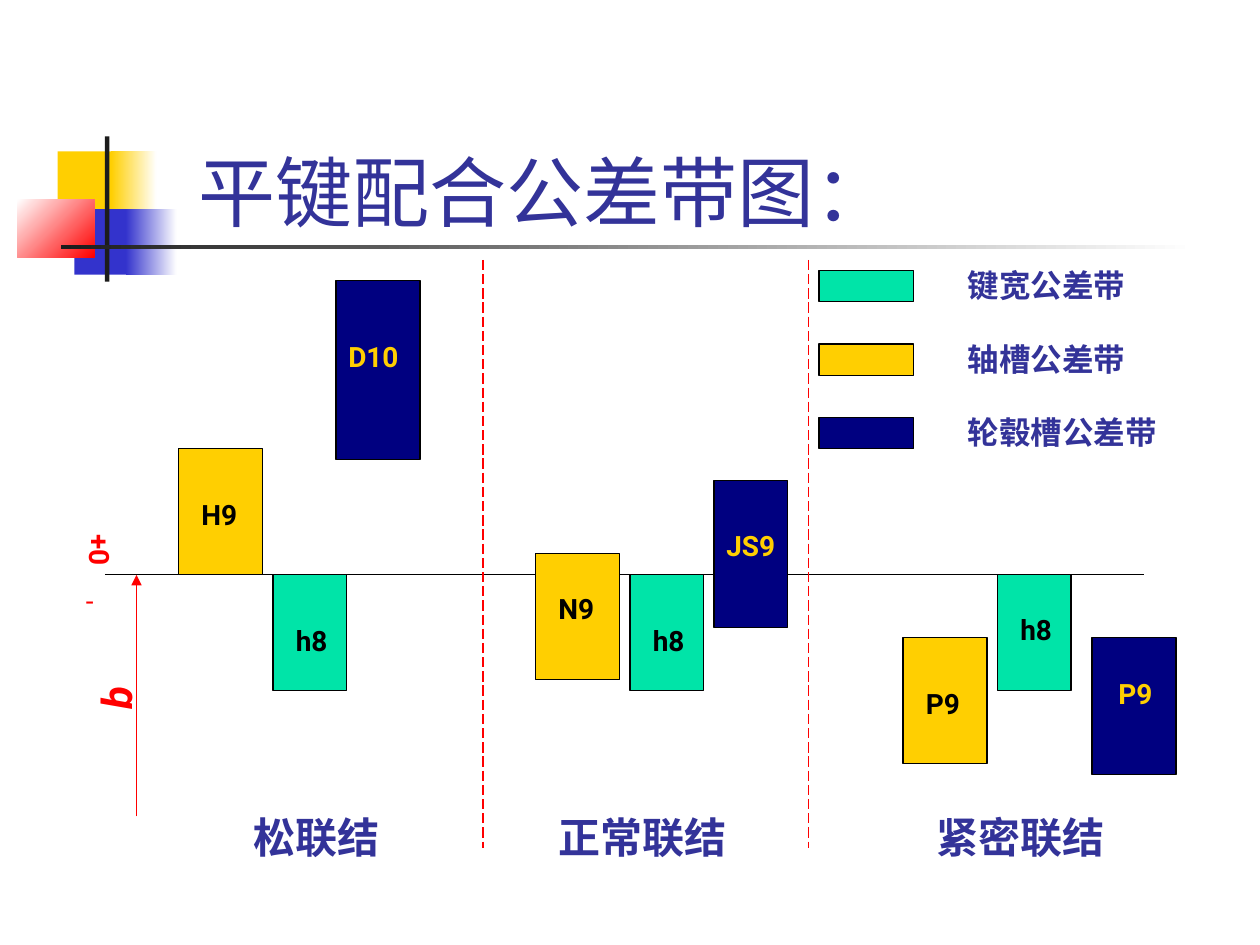
from lxml import etree
from pptx import Presentation
from pptx.dml import color
from pptx.enum import dml, shapes, text
from pptx.oxml import ns
from pptx.util import Pt

BLUE, RED, BLACK, WHITE = "333399", "FF0000", "000000", "FFFFFF"
GOLD, GREEN, NAVY, INDIGO, DARK = "FFCF01", "00E4A8", "000080", "3333CC", "1C1C1C"
ZERO = 328.5


def rgb(value):
    return color.RGBColor.from_string(value)


class Sketch:
    font = "Roboto"
    line_width = 0.75

    def __init__(self, page):
        self.page = page

    def add_words(self, frame, words, size, tint, bold=False, italic=False):
        para = frame.paragraphs[0]
        para.alignment = text.PP_ALIGN.LEFT
        span = para.add_run()
        span.text = words
        span.font.size = Pt(size)
        span.font.bold = bold
        span.font.italic = italic
        span.font.color.rgb = rgb(tint)
        span.font.name = self.font
        etree.SubElement(span.font._element, ns.qn("a:ea"), typeface=self.font)

    def title(self, words, left, top, width, height):
        box = self.page.shapes.title
        box.left, box.top, box.width, box.height = map(Pt, (left, top, width, height))
        frame = box.text_frame
        frame.auto_size = text.MSO_AUTO_SIZE.NONE
        frame.vertical_anchor = text.MSO_ANCHOR.BOTTOM
        self.add_words(frame, words, 44, BLUE)

    def label(self, words, left, top, width, height, size, tint, bold=True, italic=False):
        box = self.page.shapes.add_textbox(*map(Pt, (left, top, width, height)))
        frame = box.text_frame
        frame.word_wrap = True
        frame.auto_size = text.MSO_AUTO_SIZE.SHAPE_TO_FIT_TEXT
        self.add_words(frame, words, size, tint, bold, italic)
        return box

    def vertical_label(self, words, left, top, width, height, size, tint):
        frame = self.label(words, left, top, width, height, size, tint).text_frame
        frame.auto_size = text.MSO_AUTO_SIZE.NONE
        frame.margin_left = frame.margin_right = Pt(3.6)
        frame.margin_top = frame.margin_bottom = Pt(7.2)
        frame.paragraphs[0].alignment = text.PP_ALIGN.CENTER
        frame._txBody.bodyPr.set("vert", "eaVert")

    def block(self, left, top, width, height, fill, outline=None):
        box = self.page.shapes.add_shape(
            shapes.MSO_SHAPE.RECTANGLE, *map(Pt, (left, top, width, height)))
        box.shadow.inherit = False
        box.fill.solid()
        box.fill.fore_color.rgb = rgb(fill)
        if outline:
            box.line.color.rgb = rgb(outline)
            box.line.width = Pt(self.line_width)
        else:
            box.line.fill.background()
        return box

    def fade(self, left, top, width, height, start, end, angle=0):
        fill = self.block(left, top, width, height, start).fill
        fill.gradient()
        fill.gradient_angle = angle
        for stop, tint in zip(fill.gradient_stops, (start, end)):
            stop.color.rgb = rgb(tint)

    def line(self, x1, y1, x2, y2, tint, dash=None, arrow=False):
        line = self.page.shapes.add_connector(
            shapes.MSO_CONNECTOR.STRAIGHT, *map(Pt, (x1, y1, x2, y2)))
        line.line.color.rgb = rgb(tint)
        line.line.width = Pt(self.line_width)
        if dash:
            line.line.dash_style = dash
        properties = line._element.spPr
        if arrow:
            etree.SubElement(properties.find(ns.qn("a:ln")), ns.qn("a:tailEnd"), type="triangle")
        etree.SubElement(properties, ns.qn("a:effectLst"))


def draw_emblem(sketch):
    sketch.block(33, 86.5, 34.5, 37.5, GOLD)
    sketch.fade(63.5, 86.5, 26, 37.5, GOLD, WHITE)
    sketch.block(42.5, 119.5, 33, 37.5, INDIGO)
    sketch.fade(72, 119.5, 29, 37.5, INDIGO, WHITE)
    sketch.fade(10, 114, 44, 33, WHITE, RED, 315)
    sketch.block(60, 78, 2.5, 83, DARK)
    sketch.fade(35, 140, 648, 2.5, DARK, WHITE)


def draw_axis(sketch):
    sketch.line(60, ZERO, 654, ZERO, BLACK)
    sketch.line(78, 466.5, 78, ZERO, RED, arrow=True)
    sketch.vertical_label("+0", 37.5, 298, 33, 54, 16, RED)
    sketch.label("-", 42, 330, 30, 26.5, 16, RED, bold=False)
    sketch.label("b", 36, 364.5, 60, 36, 24, RED, italic=True).rotation = 270


def draw_bands(sketch):
    bands = [
        ("h8", 156, 0, 42, 66, GREEN, 6, 24),
        ("H9", 102, -72, 48, 72, GOLD, 6, 24),
        ("D10", 192, -168, 48, 102, NAVY, 0, 30),
        ("h8", 360, 0, 42, 66, GREEN, 6, 24),
        ("N9", 306, -12, 48, 72, GOLD, 6, 18),
        ("JS9", 408, -54, 42, 84, NAVY, 0, 24),
        ("h8", 570, 0, 42, 66, GREEN, 6, 18),
        ("P9", 516, 36, 48, 72, GOLD, 6, 24),
        ("P9", 624, 36, 48, 78, NAVY, 8, 18.5),
    ]
    for name, left, rise, width, height, fill, indent, drop in bands:
        top = ZERO + rise
        sketch.block(left, top, width, height, fill, BLACK)
        tint = GOLD if fill == NAVY else BLACK
        sketch.label(name, left + indent, top + drop, 78, 26.5, 16, tint)


def draw_legend(sketch):
    entries = [("键宽公差带", GREEN), ("轴槽公差带", GOLD), ("轮毂槽公差带", NAVY)]
    for row, (name, fill) in enumerate(entries):
        top = 154.5 + 42 * row
        sketch.block(468, top, 54, 18, fill, BLACK)
        sketch.label(name, 546, top - 6, 132, 29, 18, BLUE)


def draw_fits(sketch):
    for x in (276, 462):
        sketch.line(x, 148.5, x, 484.5, RED, dml.MSO_LINE.LONG_DASH)
    for name, left, width in (("松联结", 138, 102), ("正常联结", 312, 120), ("紧密联结", 528, 126)):
        sketch.label(name, left, 460, width, 36, 24, BLUE)


def main():
    deck = Presentation()
    deck.slide_width, deck.slide_height = Pt(720), Pt(540)
    sketch = Sketch(deck.slides.add_slide(deck.slide_layouts[5]))
    draw_emblem(sketch)
    sketch.title("平键配合公差带图：", 106.5, 49, 497.5, 90)
    draw_axis(sketch)
    draw_bands(sketch)
    draw_legend(sketch)
    draw_fits(sketch)
    deck.save("out.pptx")


if __name__ == "__main__":
    main()
